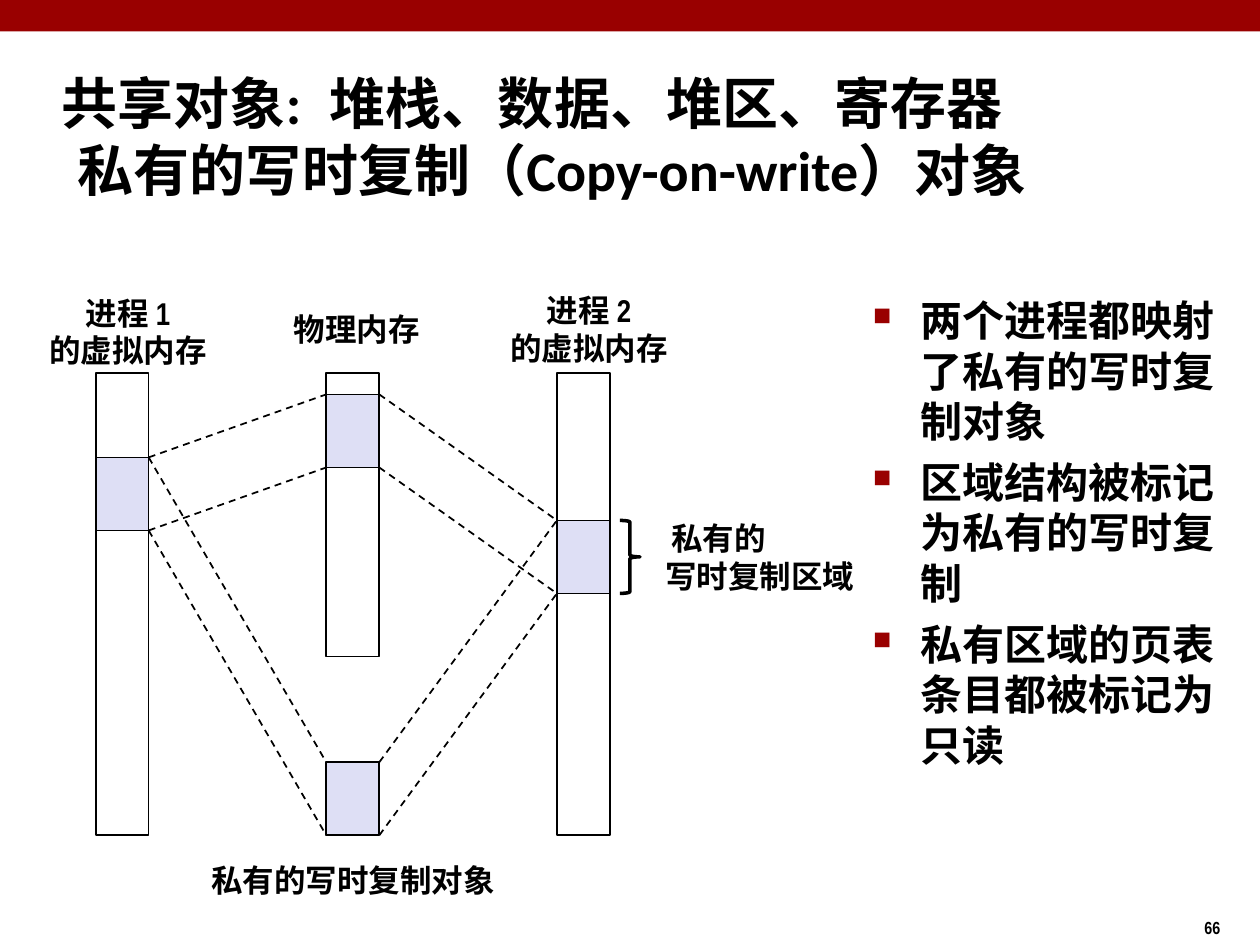
import pptx
import pptx.dml.color
import pptx.enum.dml
import pptx.enum.shapes
import pptx.enum.text
import pptx.oxml
import pptx.oxml.ns
import pptx.util
from pptx.util import Inches

RED = pptx.dml.color.RGBColor(0x99, 0x00, 0x00)
BLACK = pptx.dml.color.RGBColor(0x00, 0x00, 0x00)
LAVENDER = pptx.dml.color.RGBColor(0xDE, 0xDF, 0xF5)

MIDDLE = pptx.enum.text.MSO_ANCHOR.MIDDLE
CENTER = pptx.enum.text.PP_ALIGN.CENTER
SHAPES = pptx.enum.shapes.MSO_SHAPE

TITLE_FORMAT = {"name": "Calibri", "size": pptx.util.Pt(32), "bold": True}
BULLET_FORMAT = {"name": "Calibri", "size": pptx.util.Pt(24), "bold": True}
LABEL_FORMAT = {"name": "Arial Narrow", "size": pptx.util.Pt(18), "bold": True}
NUMBER_FORMAT = {"name": "Arial Narrow", "size": pptx.util.Pt(10), "bold": True}


def add_xml(parent, tag, content="", **attributes):
    """Append an element of the drawing namespace to parent."""
    values = "".join(f' {name}="{value}"' for name, value in attributes.items())
    namespace = pptx.oxml.ns.nsdecls("a")
    parent.append(pptx.oxml.parse_xml(f"<a:{tag} {namespace}{values}>{content}</a:{tag}>"))


def add_text(slide, box, lines, text_format, anchor=None, alignment=None, wrap=False):
    """Add a text box with one paragraph for each line."""
    shape = slide.shapes.add_textbox(*map(Inches, box))
    frame = shape.text_frame
    frame.word_wrap = wrap
    frame.vertical_anchor = anchor
    frame.text = "\n".join(lines)
    for paragraph in frame.paragraphs:
        paragraph.alignment = alignment
        for run in paragraph.runs:
            run.font.color.rgb = BLACK
            for name, value in text_format.items():
                setattr(run.font, name, value)
    return frame


def set_indent(paragraph, margin, first_line):
    properties = paragraph._p.get_or_add_pPr()
    properties.set("marL", str(Inches(margin)))
    properties.set("indent", str(Inches(first_line)))
    return properties


def add_box(slide, box, fill=None, line=BLACK, kind=SHAPES.RECTANGLE, width=1):
    shape = slide.shapes.add_shape(kind, *map(Inches, box))
    shape.shadow.inherit = False
    if fill is None:
        shape.fill.background()
    else:
        shape.fill.solid()
        shape.fill.fore_color.rgb = fill
    if line is None:
        shape.line.fill.background()
    else:
        shape.line.color.rgb = line
        shape.line.width = pptx.util.Pt(width)
    return shape


def add_dashed_line(slide, start, end):
    connector = slide.shapes.add_connector(
        pptx.enum.shapes.MSO_CONNECTOR.STRAIGHT, *map(Inches, (*start, *end)))
    connector.line.color.rgb = BLACK
    connector.line.width = pptx.util.Pt(1)
    connector.line.dash_style = pptx.enum.dml.MSO_LINE.DASH
    add_xml(connector._element.spPr, "effectLst")


def add_title(slide, box):
    lines = ["共享对象:\t堆栈、数据、堆区、寄存器\v私有的写时复制（Copy-on-write）对象"]
    frame = add_text(slide, box, lines, TITLE_FORMAT, MIDDLE, wrap=True)
    properties = set_indent(frame.paragraphs[0], 0.13, -0.13)
    add_xml(properties, "tabLst", f'<a:tab pos="{Inches(2.72)}" algn="l"/>')


def add_bullets(slide, box):
    lines = ["两个进程都映射了私有的写时复制对象",
             "区域结构被标记为私有的写时复制",
             "私有区域的页表条目都被标记为只读"]
    frame = add_text(slide, box, lines, BULLET_FORMAT, wrap=True)
    for index, paragraph in enumerate(frame.paragraphs):
        paragraph.space_before = pptx.util.Pt(6 if index else 0)
        properties = set_indent(paragraph, 0.38, -0.38)
        add_xml(properties, "buClr", f'<a:srgbClr val="{RED}"/>')
        add_xml(properties, "buSzPct", val="60000")
        add_xml(properties, "buChar", char="■")


def add_memory_diagram(slide, box):
    """Draw two processes sharing physical memory and a private object."""
    left, top, width, height = box
    bar_width, region_height = 0.42, 0.58
    step = (width - bar_width) / 2
    process_1, physical, process_2 = (left + step * column for column in range(3))
    object_top = top + height - region_height
    region_1, region_physical, region_2 = top + 0.67, top + 0.17, top + 1.17

    for bar_left, bar_height in ((physical, 2.25), (process_1, height), (process_2, height)):
        add_box(slide, (bar_left, top, bar_width, bar_height))
    for region in ((physical, object_top), (physical, region_physical),
                   (process_1, region_1), (process_2, region_2)):
        add_box(slide, (*region, bar_width, region_height), LAVENDER)

    for shared_top in (object_top, region_physical):
        for offset in (0, region_height):
            add_dashed_line(slide, (process_1 + bar_width, region_1 + offset),
                            (physical, shared_top + offset))
            add_dashed_line(slide, (physical + bar_width, shared_top + offset),
                            (process_2, region_2 + offset))

    brace_left = process_2 + bar_width + 0.08
    add_box(slide, (brace_left, region_2, 0.16, region_height),
            kind=SHAPES.RIGHT_BRACE, width=2)

    labels = [
        ((process_1 - 0.47, top - 0.68, 1.45, 0.7), ["进程 1", "的虚拟内存"]),
        ((physical - 0.36, top - 0.55, 1.2, 0.4), ["物理内存"]),
        ((process_2 - 0.47, top - 0.7, 1.45, 0.7), ["进程 2", "的虚拟内存"]),
        ((physical - 1.04, top + height + 0.15, 2.5, 0.4), ["私有的写时复制对象"]),
    ]
    for label_box, lines in labels:
        add_text(slide, label_box, lines, LABEL_FORMAT, MIDDLE, CENTER)
    frame = add_text(slide, (brace_left + 0.26, region_2 - 0.06, 1.7, 0.7),
                     ["私有的", "写时复制区域"], LABEL_FORMAT, MIDDLE)
    set_indent(frame.paragraphs[0], 0.05, 0)


def main():
    presentation = pptx.Presentation()
    presentation.slide_width = Inches(10)
    presentation.slide_height = Inches(7.5)
    slide = presentation.slides.add_slide(presentation.slide_layouts[6])
    add_box(slide, (0, 0, 10, 0.25), RED, line=None)
    add_text(slide, (9.46, 7.23, 0.75, 0.27), ["66"], NUMBER_FORMAT)
    add_title(slide, (0.39, 0.48, 9.11, 1.19))
    add_bullets(slide, (6.83, 2.29, 3.17, 4.58))
    add_memory_diagram(slide, (0.76, 2.96, 4.08, 3.67))
    presentation.save("out.pptx")


if __name__ == "__main__":
    main()
